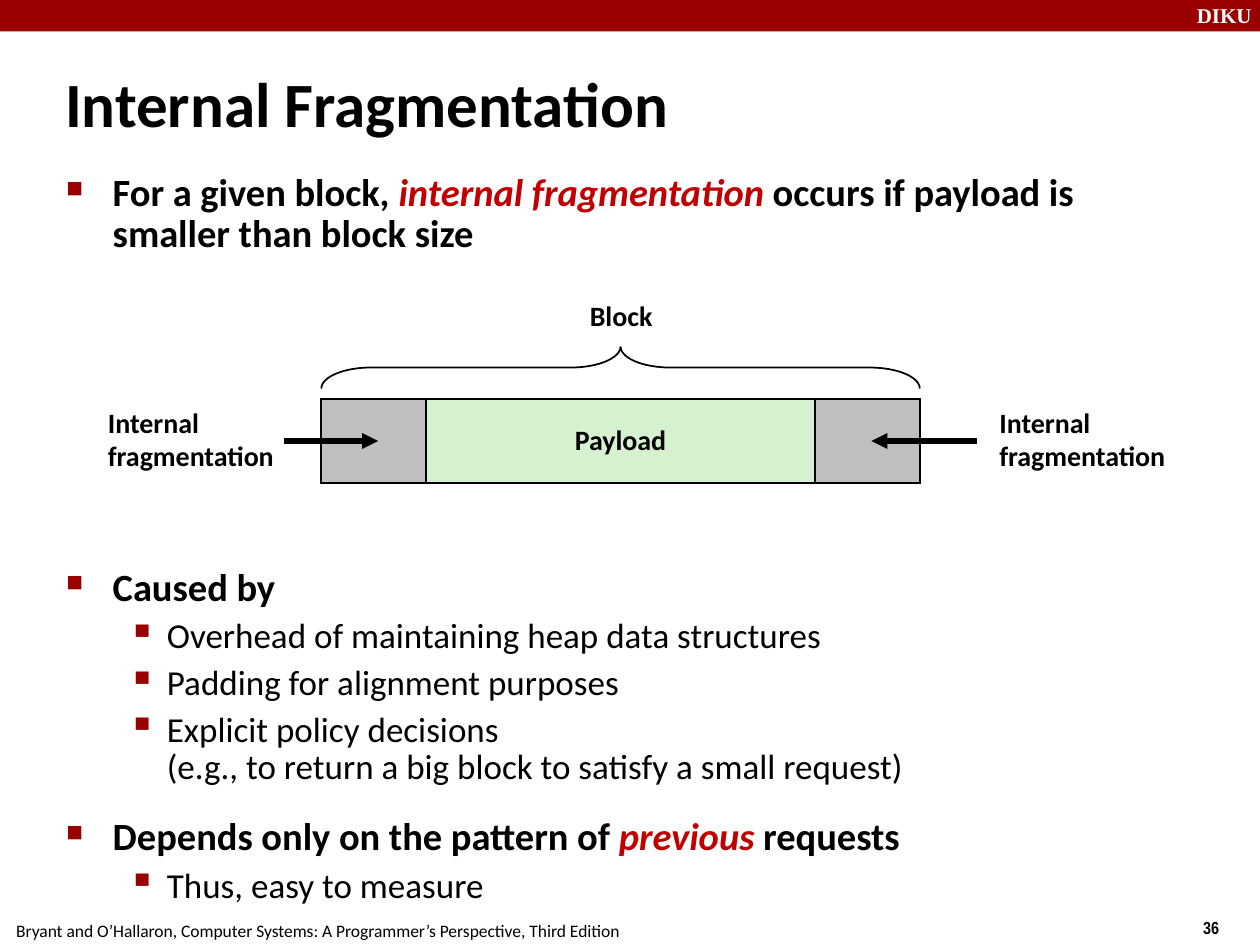
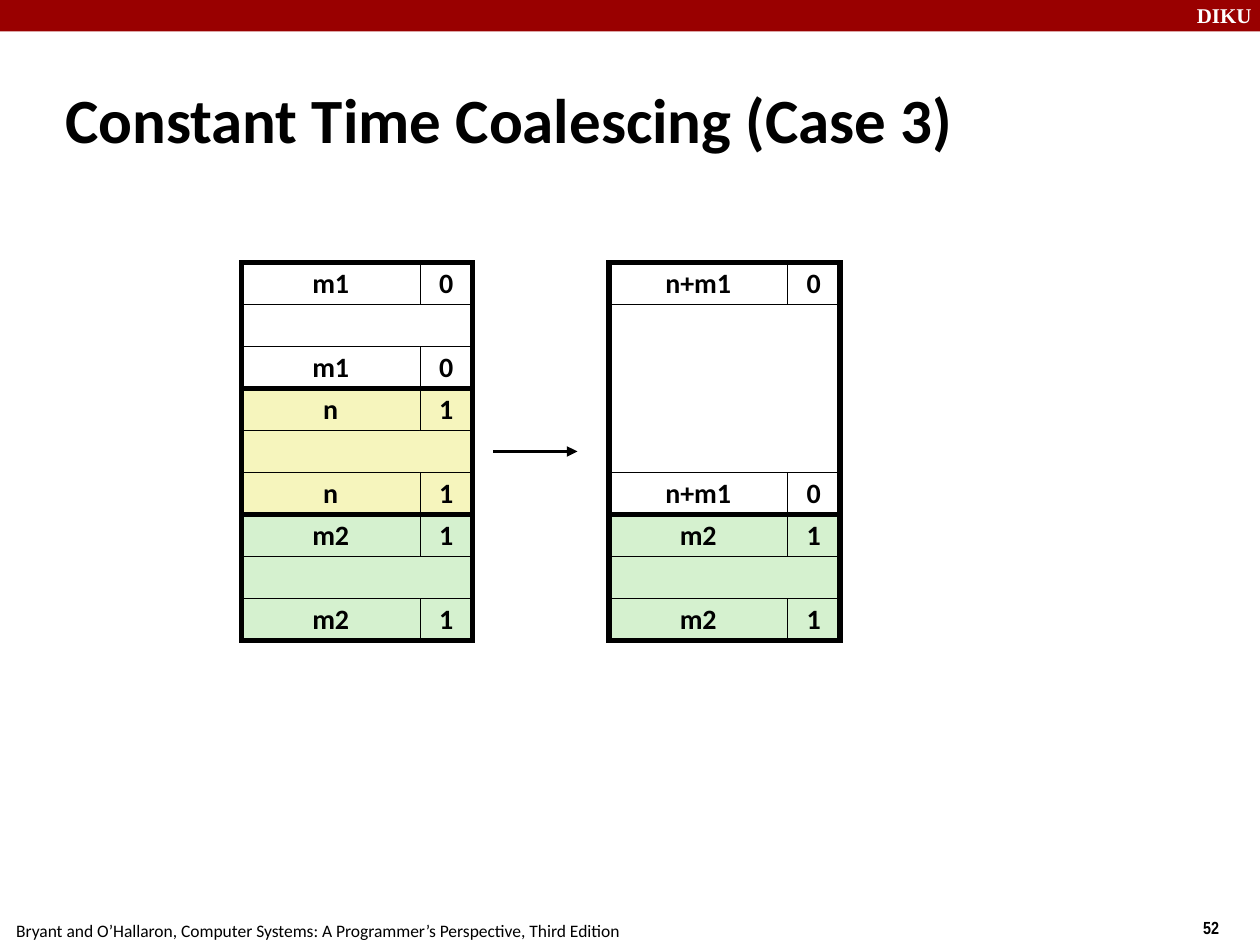
"""Build two lecture slides on memory fragmentation and block coalescing."""
from typing import Any, NamedTuple, Optional

from lxml.etree import SubElement
from pptx import Presentation
from pptx.dml.color import RGBColor
from pptx.enum.shapes import MSO_CONNECTOR as Connector, MSO_SHAPE as Preset
from pptx.enum.text import MSO_ANCHOR as Anchor, MSO_AUTO_SIZE as AutoSize, PP_ALIGN as Align
from pptx.oxml.ns import qn
from pptx.util import Emu, Inches, Pt

WIDTH, HEIGHT = Inches(10), Inches(7.5)
COLUMNS, ROWS = 120, 90
BLACK, WHITE, RED, ACCENT = "000000", "FFFFFF", "990000", "C00000"
GREEN, YELLOW, GREY = "D5F1CF", "F6F5BD", "BFBFBF"
SOURCE = "Bryant and O’Hallaron, Computer Systems: A Programmer’s Perspective, Third Edition"

TITLE = {"name": "Calibri", "size": Pt(36), "bold": True}
LABEL = {"name": "Calibri", "size": Pt(16), "bold": True}
BRAND = {"name": "Times New Roman", "size": Pt(12), "bold": True}
NUMBER = {"name": "Arial Narrow", "size": Pt(10), "bold": True}
FOOTER = {"name": "Calibri", "size": Pt(10), "bold": False}

LABEL_WIDTH, FLAG_WIDTH, CELL_HEIGHT = 17, 5, 4
STACK_TOP = 25
BAR_TOP, BAR_HEIGHT, ARROW_ROW = 38, 8, 42


class Area(NamedTuple):
    """A rectangle in grid columns and rows."""
    left: float
    top: float
    width: float
    height: float


class BulletStyle(NamedTuple):
    """The look of one outline level."""
    margin: float
    hanging: float
    symbol: str
    percent: int
    font: dict[str, Any]


class Item(NamedTuple):
    """An outline entry, with emphasis between bars."""
    text: str
    level: int = 0
    space: float = 5.6


class Block(NamedTuple):
    """A heap block with equal header and footer cells."""
    label: str
    flag: str
    color: str
    cells: int = 3


BULLETS = (
    BulletStyle(0.38, 0.37, "■", 60, {"name": "Calibri", "size": Pt(22), "bold": True}),
    BulletStyle(0.81, 0.31, "▪", 110, {"name": "Calibri", "size": Pt(20), "bold": False}),
)
OUTLINE = (
    Item("For a given block, |internal fragmentation| occurs if payload is smaller than block size"),
    Item("Caused by", space=179),
    Item("Overhead of maintaining heap data structures", 1),
    Item("Padding for alignment purposes", 1),
    Item("Explicit policy decisions\n(e.g., to return a big block to satisfy a small request)", 1),
    Item("Depends only on the pattern of |previous| requests", space=18),
    Item("Thus, easy to measure", 1),
)
STACKS = {
    23: (Block("m1", "0", WHITE), Block("n", "1", YELLOW), Block("m2", "1", GREEN)),
    58: (Block("n+m1", "0", WHITE, 6), Block("m2", "1", GREEN)),
}


def rgb(color: str) -> RGBColor:
    """Turn a hex string into a colour."""
    return RGBColor.from_string(color)


def across(columns: float) -> Emu:
    """Convert grid columns to a length."""
    return Emu(round(WIDTH * columns / COLUMNS))


def down(rows: float) -> Emu:
    """Convert grid rows to a length."""
    return Emu(round(HEIGHT * rows / ROWS))


def place(area: Area) -> tuple[Emu, Emu, Emu, Emu]:
    """Convert a grid area to lengths."""
    return across(area.left), down(area.top), across(area.width), down(area.height)


def set_all(target: Any, values: dict[str, Any]) -> None:
    """Set each named attribute of an object."""
    for name, value in values.items():
        setattr(target, name, value)


def add_run(paragraph: Any, text: str, style: dict[str, Any], color: str) -> Any:
    """Append a formatted run and return its font."""
    run = paragraph.add_run()
    run.text = text
    set_all(run.font, style)
    run.font.color.rgb = rgb(color)
    return run.font


def write(shape: Any, text: str, style: dict[str, Any], color: str = BLACK,
          align: Any = Align.LEFT, spacing: float = 1.0) -> None:
    """Write lines of text in a shape that does not wrap."""
    frame = shape.text_frame
    frame.word_wrap = False
    for index, line in enumerate(text.split("\n")):
        paragraph = frame.add_paragraph() if index else frame.paragraphs[0]
        set_all(paragraph, {"alignment": align, "line_spacing": spacing})
        add_run(paragraph, line, style, color)


def add_text(slide: Any, area: Area, text: str, style: dict[str, Any],
             color: str = BLACK, spacing: float = 1.0) -> None:
    """Add a plain text box."""
    write(slide.shapes.add_textbox(*place(area)), text, style, color, spacing=spacing)


def add_figure(slide: Any, area: Area, fill: Optional[str] = None, line: float = 0,
               text: str = "", preset: Any = Preset.RECTANGLE) -> Any:
    """Add a preset shape with optional fill, sharp outline and label."""
    shape = slide.shapes.add_shape(preset, *place(area))
    shape.shadow.inherit = False
    if fill:
        shape.fill.solid()
        shape.fill.fore_color.rgb = rgb(fill)
    else:
        shape.fill.background()
    if line:
        shape.line.color.rgb = rgb(BLACK)
        shape.line.width = Pt(line)
        SubElement(shape.line._get_or_add_ln(), qn("a:miter"), lim="800000")
    else:
        shape.line.fill.background()
    if text:
        shape.text_frame.vertical_anchor = Anchor.MIDDLE
        write(shape, text, LABEL, align=Align.CENTER, spacing=0.98)
    return shape


def add_arrow(slide: Any, start: float, end: float, row: float, width: float) -> None:
    """Add a horizontal arrow along a grid row."""
    arrow = slide.shapes.add_connector(Connector.STRAIGHT, across(start), down(row), across(end), down(row))
    arrow.line.color.rgb = rgb(BLACK)
    arrow.line.width = Pt(width)
    SubElement(arrow.line._get_or_add_ln(), qn("a:tailEnd"), type="triangle")
    SubElement(arrow._element.spPr, qn("a:effectLst"))


def add_slide(presentation: Any, title: str, area: Area, number: int) -> Any:
    """Add a slide with its title, band and footers."""
    slide = presentation.slides.add_slide(presentation.slide_layouts[5])
    add_figure(slide, Area(0, 0, COLUMNS, 3), RED)
    add_text(slide, Area(112.8, -0.36, 8, 3.6), "DIKU", BRAND, WHITE)
    add_text(slide, Area(113.4, 86.76, 9, 3.5), str(number), NUMBER)
    add_text(slide, Area(0.36, 87, 59.9, 3.2), SOURCE, FOOTER)
    heading = slide.shapes.title
    set_all(heading, dict(zip(("left", "top", "width", "height"), place(area))))
    set_all(heading.text_frame, {"auto_size": AutoSize.NONE, "vertical_anchor": Anchor.MIDDLE})
    write(heading, title, TITLE)
    return slide


def add_bullet(paragraph: Any, style: BulletStyle) -> None:
    """Give a paragraph a hanging red bullet."""
    properties = paragraph._p.get_or_add_pPr()
    properties.set("marL", str(Inches(style.margin)))
    properties.set("indent", str(-Inches(style.hanging)))
    SubElement(SubElement(properties, qn("a:buClr")), qn("a:srgbClr"), val=RED)
    SubElement(properties, qn("a:buSzPct"), val=str(style.percent * 1000))
    SubElement(properties, qn("a:buChar"), char=style.symbol)


def add_outline(slide: Any, area: Area, items: tuple[Item, ...]) -> None:
    """Add a bulleted outline."""
    frame = slide.shapes.add_textbox(*place(area)).text_frame
    frame.word_wrap = True
    for index, item in enumerate(items):
        paragraph = frame.add_paragraph() if index else frame.paragraphs[0]
        set_all(paragraph, {"level": item.level, "line_spacing": 0.88,
                            "space_before": Pt(item.space if index else 0)})
        style = BULLETS[item.level]
        add_bullet(paragraph, style)
        for part, text in enumerate(item.text.split("|")):
            emphasis = part % 2 == 1
            for line_index, line in enumerate(text.split("\n")):
                if line_index:
                    paragraph.add_line_break()
                font = add_run(paragraph, line, style.font, ACCENT if emphasis else BLACK)
                font.italic = emphasis


def add_stack(slide: Any, left: float, blocks: tuple[Block, ...]) -> None:
    """Draw heap blocks below each other, each in a heavy frame."""
    width = LABEL_WIDTH + FLAG_WIDTH
    top = STACK_TOP
    frames = []
    for block in blocks:
        height = block.cells * CELL_HEIGHT
        add_figure(slide, Area(left, top + CELL_HEIGHT, width, height - 2 * CELL_HEIGHT), block.color, 0.25)
        for row in (top, top + height - CELL_HEIGHT):
            add_figure(slide, Area(left, row, LABEL_WIDTH, CELL_HEIGHT), block.color, 0.25, block.label)
            add_figure(slide, Area(left + LABEL_WIDTH, row, FLAG_WIDTH, CELL_HEIGHT), block.color, 0.25, block.flag)
        frames.append(Area(left, top, width, height))
        top += height
    for frame in frames:
        add_figure(slide, frame, line=3)


def build_fragmentation(presentation: Any) -> None:
    """Build the slide on internal fragmentation."""
    slide = add_slide(presentation, "Internal Fragmentation", Area(5, 6, 88.3, 7.5), 36)
    add_outline(slide, Area(5, 16, 109, 71), OUTLINE)
    add_figure(slide, Area(40.6, BAR_TOP, 37, BAR_HEIGHT), GREEN, 1, "Payload")
    for left in (30.6, 77.6):
        add_figure(slide, Area(left, BAR_TOP, 10, BAR_HEIGHT), GREY, 1)
    for left in (9.1, 94):
        add_text(slide, Area(left, 38.2, 19.5, 7.6), "Internal\nfragmentation", LABEL, spacing=0.98)
    for start, end in ((27, 36), (93, 83)):
        add_arrow(slide, start, end, ARROW_ROW, 3)
    brace = add_figure(slide, Area(57.1, 6.5, 4, 57), line=1, preset=Preset.RIGHT_BRACE)
    brace.rotation = 270
    brace.adjustments[0] = 1.19
    add_text(slide, Area(55, 28, 8.4, 4.4), "Block", LABEL, spacing=0.98)


def build_coalescing(presentation: Any) -> None:
    """Build the slide on coalescing with the previous block."""
    slide = add_slide(presentation, "Constant Time Coalescing (Case 3)", Area(5, 7.5, 110, 7.5), 52)
    for left, blocks in STACKS.items():
        add_stack(slide, left, blocks)
    add_arrow(slide, 47, 55, 43, 2)


def main() -> None:
    """Build and save the presentation."""
    presentation = Presentation()
    set_all(presentation, {"slide_width": WIDTH, "slide_height": HEIGHT})
    build_fragmentation(presentation)
    build_coalescing(presentation)
    presentation.save("out.pptx")


if __name__ == "__main__":
    main()
